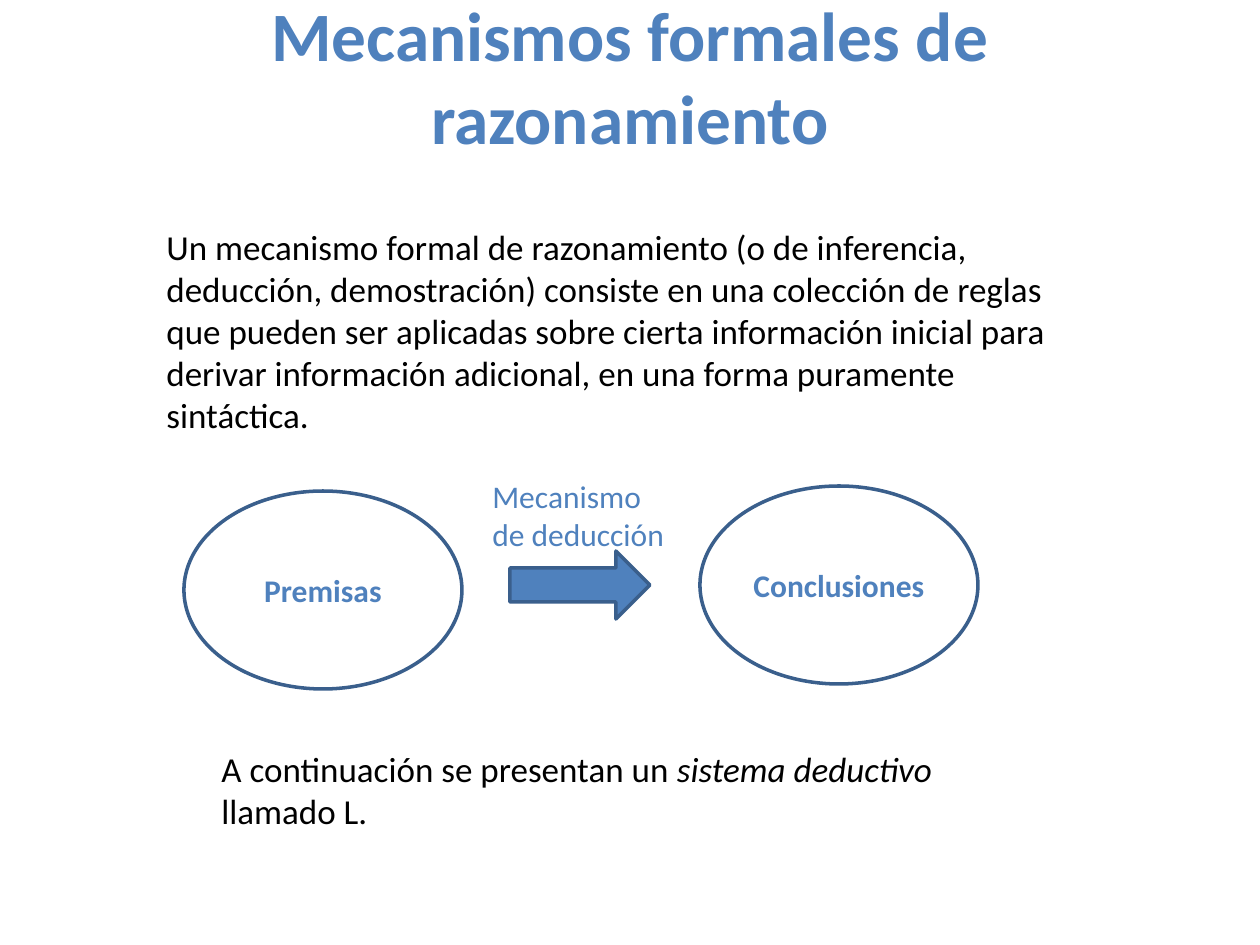
from pptx import Presentation
from pptx.dml.color import RGBColor
from pptx.enum.shapes import MSO_SHAPE
from pptx.enum.text import MSO_ANCHOR, MSO_AUTO_SIZE, PP_ALIGN
from pptx.util import Emu, Pt

ELLIPSE, ARROW = MSO_SHAPE.OVAL, MSO_SHAPE.RIGHT_ARROW
CENTER, LEFT = PP_ALIGN.CENTER, PP_ALIGN.LEFT
MIDDLE, TOP = MSO_ANCHOR.MIDDLE, MSO_ANCHOR.TOP
NO_FIT = MSO_AUTO_SIZE.NONE
FONT = "Calibri"
COLORS = {"blue": "4F81BD", "outline": "3A5F8C", "white": "FFFFFF", "black": "000000"}
PIXEL = 914400 // 126

# Content: boxes are left, top, width, height in pixels
TITLE = "Mecanismos formales de razonamiento"
TITLE_BOX = (63, 0, 1134, 150)

# Each paragraph is a list of (text, italic) runs
TEXTS = [
    {"box": (154, 219, 942, 224), "size": 20, "color": "black", "wrap": True,
     "paragraphs": [[("Un mecanismo formal de razonamiento (o de inferencia, deducción, "
                      "demostración) consiste en una colección de reglas que pueden ser "
                      "aplicadas sobre cierta información inicial para derivar información "
                      "adicional, en una forma puramente sintáctica.", False)]]},
    {"box": (480, 471, 199, 89), "size": 18, "color": "blue", "wrap": False,
     "paragraphs": [[("Mecanismo", False)], [("de deducción", False)]]},
    {"box": (209, 741, 832, 97), "size": 20, "color": "black", "wrap": True,
     "paragraphs": [[("A continuación se presentan un ", False),
                     ("sistema deductivo ", True), ("llamado L.", False)]]},
]

SHAPES = [
    (ELLIPSE, (184, 491, 278, 198), "white", "Premisas"),
    (ELLIPSE, (700, 486, 278, 198), "white", "Conclusiones"),
    (ARROW, (510, 551, 140, 68), "blue", ""),
]


def emu(box):
    return [Emu(value * PIXEL) for value in box]


def rgb(name):
    return RGBColor.from_string(COLORS[name])


def format_paragraph(paragraph, size, color, bold=False, align=LEFT):
    paragraph.alignment = align
    font = paragraph.font
    font.name, font.size, font.bold = FONT, Pt(size), bold
    font.color.rgb = rgb(color)


presentation = Presentation()
presentation.slide_width, presentation.slide_height = emu((1260, 945))
slide = presentation.slides.add_slide(presentation.slide_layouts[5])

# Title
title = slide.shapes.title
title.left, title.top, title.width, title.height = emu(TITLE_BOX)
title.text_frame.text = TITLE
title.text_frame.auto_size = NO_FIT
title.text_frame.vertical_anchor = MIDDLE
format_paragraph(title.text_frame.paragraphs[0], 39.6, "blue", True, CENTER)

# Diagram shapes
for kind, box, fill, label in SHAPES:
    shape = slide.shapes.add_shape(kind, *emu(box))
    shape.shadow.inherit = False
    shape.fill.solid()
    shape.fill.fore_color.rgb = rgb(fill)
    shape.line.color.rgb = rgb("outline")
    shape.line.width = Pt(2)
    if label:
        shape.text_frame.text = label
        shape.text_frame.vertical_anchor = MIDDLE
        format_paragraph(shape.text_frame.paragraphs[0], 18, "blue", True, CENTER)

# Text boxes
for text in TEXTS:
    frame = slide.shapes.add_textbox(*emu(text["box"])).text_frame
    frame.word_wrap = text["wrap"]
    frame.vertical_anchor = TOP
    for index, runs in enumerate(text["paragraphs"]):
        paragraph = frame.add_paragraph() if index else frame.paragraphs[0]
        format_paragraph(paragraph, text["size"], text["color"])
        for words, italic in runs:
            run = paragraph.add_run()
            run.text = words
            if italic:
                run.font.italic = True

presentation.save("out.pptx")
